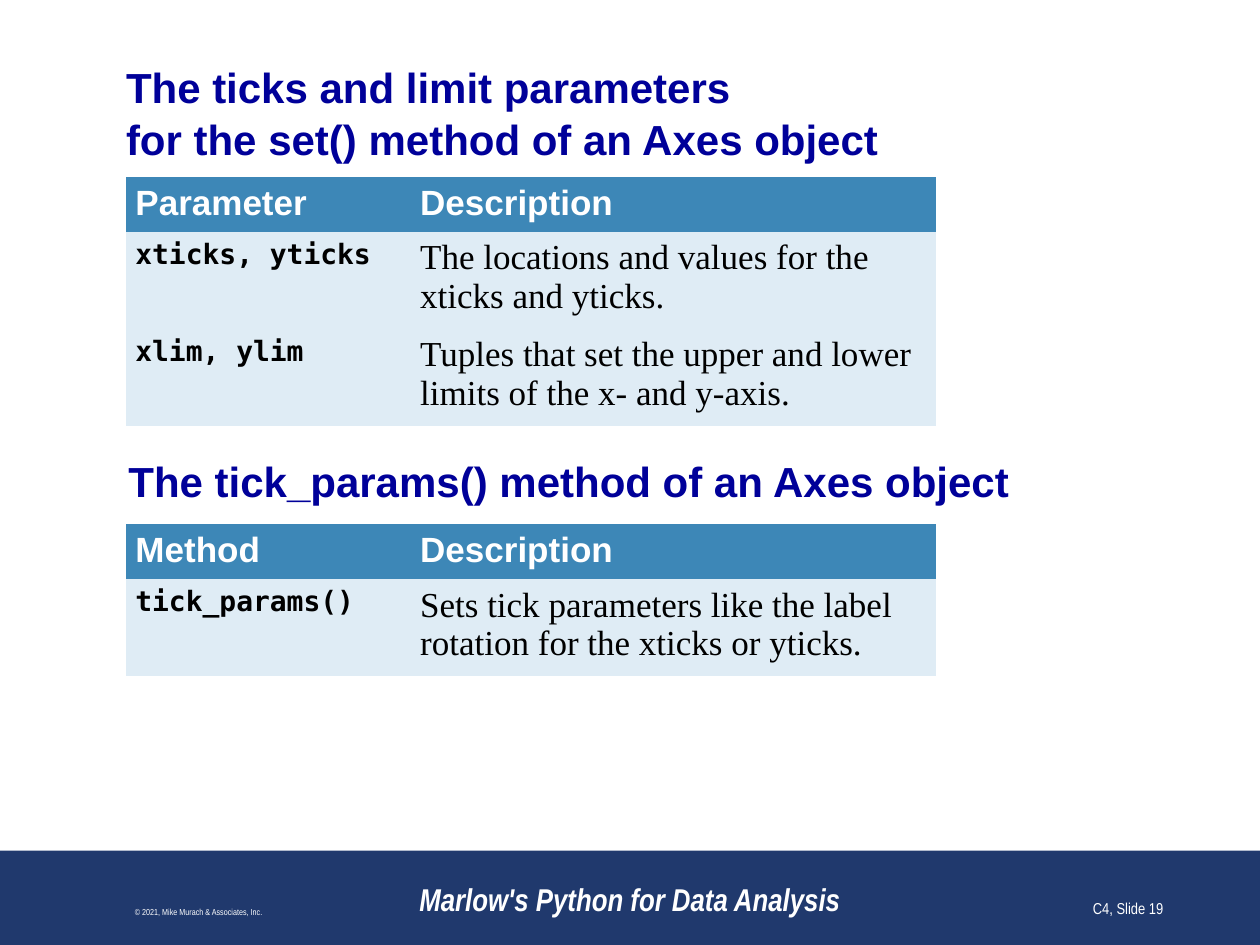
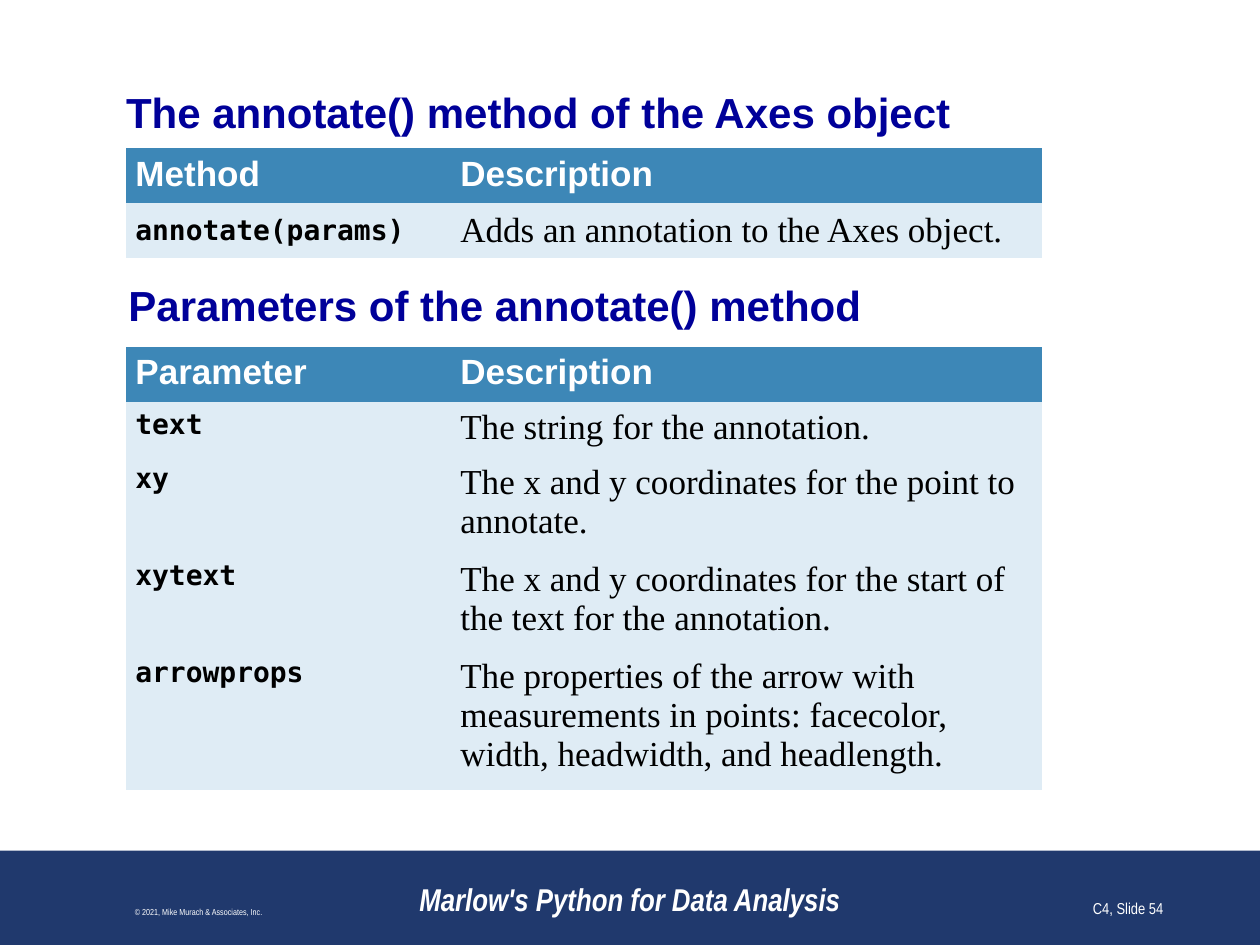
from pptx import Presentation
from pptx.dml.color import RGBColor
from pptx.enum.shapes import MSO_SHAPE
from pptx.enum.text import MSO_ANCHOR, MSO_AUTO_SIZE, PP_ALIGN
from pptx.oxml.ns import qn
from pptx.util import Cm, Pt

NAVY, HEADING_BLUE = "20396D", "000099"
HEADER_FILL, BODY_FILL = "3D87B7", "DFECF5"
WHITE, BLACK = "FFFFFF", "000000"

HEADING_FONT, BODY_FONT = "Arial", "Times New Roman"
CODE_FONT, FOOTER_FONT = "DejaVu Sans Mono", "Arial Narrow"

NO_STYLE_NO_GRID = "{2D5ABB26-0587-4C30-8999-92F81FD0307C}"
MARGIN = 2.54
CONTENT_WIDTH = 20.32
LINE_HEIGHT, CELL_PADDING = 0.79, 0.13

SLIDES = [
    {
        "number": "C4, Slide 19",
        "title": "The ticks and limit parameters \vfor the set() method of an Axes object",
        "title_box": (MARGIN, 1.22, CONTENT_WIDTH, 2.06),
        "columns": (5.74, 10.59),
        "first_top": 3.57,
        "first_rows": [
            ("Parameter", "Description", 1),
            ("xticks, yticks", "The locations and values for the xticks and yticks.", 2),
            ("xlim, ylim", "Tuples that set the upper and lower limits of the x- and y-axis.", 2),
        ],
        "first_anchor": MSO_ANCHOR.TOP,
        "subheading": "The tick_params() method of an Axes object",
        "subheading_top": 9.05,
        "second_top": 10.57,
        "second_rows": [
            ("Method", "Description", 1),
            ("tick_params()",
             "Sets tick parameters like the label rotation for the xticks or yticks.", 2),
        ],
    },
    {
        "number": "C4, Slide 54",
        "title": "The annotate() method of the Axes object",
        "title_box": (MARGIN, 1.73, CONTENT_WIDTH, 1.02),
        "columns": (6.55, 11.92),
        "first_top": 2.99,
        "first_rows": [
            ("Method", "Description", 1),
            ("annotate(params)", "Adds an annotation to the Axes object.", 1),
        ],
        "first_anchor": MSO_ANCHOR.MIDDLE,
        "subheading": "Parameters of the annotate() method",
        "subheading_top": 5.51,
        "second_top": 6.99,
        "second_rows": [
            ("Parameter", "Description", 1),
            ("text", "The string for the annotation.", 1),
            ("xy", "The x and y coordinates for the point to annotate.", 2),
            ("xytext",
             "The x and y coordinates for the start of the text for the annotation.", 2),
            ("arrowprops",
             "The properties of the arrow with measurements in points: "
             "facecolor, width, headwidth, and headlength.", 3),
        ],
    },
]


def color(hex_code):
    return RGBColor.from_string(hex_code)


def fill(target, hex_code):
    target.fill.solid()
    target.fill.fore_color.rgb = color(hex_code)


def write(frame, text, font, size, hex_code, bold=False, italic=False, align=PP_ALIGN.LEFT):
    frame.text = text
    frame.word_wrap = True
    for paragraph in frame.paragraphs:
        paragraph.alignment = align
        for run in paragraph.runs:
            run.font.name, run.font.size = font, Pt(size)
            run.font.bold, run.font.italic = bold, italic
            run.font.color.rgb = color(hex_code)


def add_title(slide, box, text):
    title = slide.shapes.title
    title.left, title.top, title.width, title.height = map(Cm, box)
    frame = title.text_frame
    write(frame, text, HEADING_FONT, 24, HEADING_BLUE, bold=True)
    frame.paragraphs[0].line_spacing = 1.04
    frame.auto_size = MSO_AUTO_SIZE.NONE
    frame.vertical_anchor = MSO_ANCHOR.MIDDLE
    frame.margin_left = frame.margin_right = frame.margin_top = frame.margin_bottom = 0


def add_subheading(slide, top, text):
    subheading = slide.shapes.add_textbox(Cm(2.34), Cm(top), Cm(20.52), Cm(1.27))
    write(subheading.text_frame, text, HEADING_FONT, 24, HEADING_BLUE, bold=True)


def add_reference_table(slide, top, columns, rows, anchor=MSO_ANCHOR.TOP):
    """Each row holds a term, its description and the number of text lines it takes."""
    heights = [lines * LINE_HEIGHT + 2 * CELL_PADDING for *_, lines in rows]
    holder = slide.shapes.add_table(len(rows), len(columns), Cm(MARGIN), Cm(top),
                                    Cm(sum(columns)), Cm(sum(heights)))
    holder._element.find(".//" + qn("a:tableStyleId")).text = NO_STYLE_NO_GRID
    table = holder.table
    table.horz_banding = False
    for column, width in zip(table.columns, columns):
        column.width = Cm(width)
    for index, (*texts, _) in enumerate(rows):
        table.rows[index].height = Cm(heights[index])
        if index == 0:
            styles = [(HEADING_FONT, 20, WHITE, True)] * 2
        else:
            styles = [(CODE_FONT, 16, BLACK, True), (BODY_FONT, 20, BLACK, False)]
        for cell, text, style in zip(table.rows[index].cells, texts, styles):
            fill(cell, BODY_FILL if index else HEADER_FILL)
            cell.margin_left = cell.margin_right = Cm(0.19)
            cell.margin_top = cell.margin_bottom = Cm(CELL_PADDING)
            cell.vertical_anchor = anchor if index else MSO_ANCHOR.TOP
            write(cell.text_frame, text, *style)


def add_footer(slide, top, number):
    band = slide.shapes.add_shape(MSO_SHAPE.RECTANGLE, 0, Cm(top), Cm(25.4), Cm(1.9))
    band.shadow.inherit = False
    fill(band, NAVY)
    band.line.fill.background()
    entries = [
        (7.62, 10.16, "Marlow's Python for Data Analysis", 18, True, PP_ALIGN.CENTER),
        (0.2, 7.62, "© 2021, Mike Murach & Associates, Inc.", 5, False, PP_ALIGN.CENTER),
        (18.42, 5.28, number, 9, False, PP_ALIGN.RIGHT),
    ]
    for left, width, text, size, strong, align in entries:
        entry = slide.shapes.add_textbox(Cm(left), Cm(top + 0.2), Cm(width), Cm(1.27))
        entry.text_frame.vertical_anchor = MSO_ANCHOR.BOTTOM
        write(entry.text_frame, text, FOOTER_FONT, size, WHITE, strong, strong, align)


def add_reference_slide(deck, content):
    slide = deck.slides.add_slide(deck.slide_layouts.get_by_name("Title Only"))
    add_footer(slide, 17.15, content["number"])
    add_title(slide, content["title_box"], content["title"])
    add_reference_table(slide, content["first_top"], content["columns"],
                        content["first_rows"], content["first_anchor"])
    add_subheading(slide, content["subheading_top"], content["subheading"])
    add_reference_table(slide, content["second_top"], content["columns"],
                        content["second_rows"])


def main():
    deck = Presentation()
    deck.slide_width, deck.slide_height = Cm(25.4), Cm(19.05)
    for content in SLIDES:
        add_reference_slide(deck, content)
    deck.save("out.pptx")


if __name__ == "__main__":
    main()
